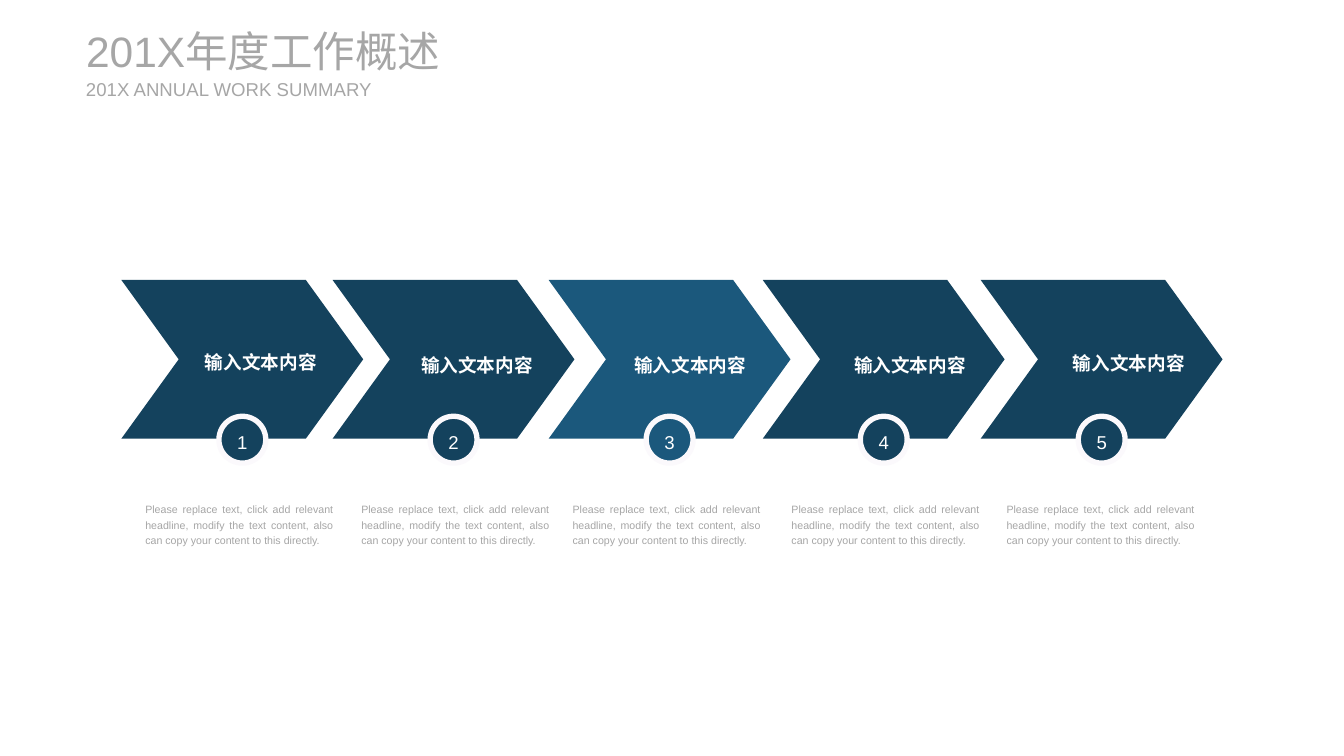
from pptx import Presentation
from pptx import util as u
from pptx.dml.color import RGBColor
from pptx.enum import shapes, text

COLORS = {
    "navy": "14425D",
    "blue": "1B587C",
    "ring": "FBF9FC",
    "gray": "A6A6A6",
    "white": "FFFFFF",
}
LABEL = "输入文本内容"
CAPTION = ("Please replace text, click add relevant headline, modify the text content, "
           "also can copy your content to this directly.")

# arrow left, label centre x, label centre y, caption left, colour
STEPS = [
    (1.27, 2.73, 3.77, 1.52, "navy"),
    (3.48, 4.99, 3.8, 3.78, "navy"),
    (5.74, 7.22, 3.8, 5.99, "blue"),
    (7.98, 9.52, 3.8, 8.28, "navy"),
    (10.26, 11.81, 3.78, 10.53, "navy"),
]
ARROW_TOP, ARROW_WIDTH, ARROW_HEIGHT = 2.93, 2.53, 1.66
ARROW_POINT = 0.6
BADGE_SIZE, BADGE_CENTER_Y = 0.49, 4.6
LABEL_WIDTH, LABEL_HEIGHT = 1.7, 0.26


class SlideBuilder:
    def __init__(self, slide, font="Arial"):
        self.slide = slide
        self.font = font

    def color(self, name):
        return RGBColor.from_string(COLORS[name])

    def fill_text(self, shape, content, size, color, align="LEFT", anchor="MIDDLE",
                  spacing=1.2, bold=False):
        """Fill the text frame of a shape with one formatted paragraph."""
        frame = shape.text_frame
        frame_format = {
            "margin_left": 0, "margin_right": 0, "margin_top": 0, "margin_bottom": 0,
            "word_wrap": True,
            "vertical_anchor": getattr(text.MSO_ANCHOR, anchor),
        }
        for name, value in frame_format.items():
            setattr(frame, name, value)
        paragraph = frame.paragraphs[0]
        paragraph.alignment = getattr(text.PP_ALIGN, align)
        paragraph.line_spacing = spacing
        run = paragraph.add_run()
        run.text = content
        font_format = {"name": self.font, "size": u.Pt(size), "bold": bold}
        for name, value in font_format.items():
            setattr(run.font, name, value)
        run.font.color.rgb = self.color(color)

    def text_box(self, left, top, width, height, content, size, color, **style):
        box = self.slide.shapes.add_textbox(*map(u.Inches, (left, top, width, height)))
        self.fill_text(box, content, size, color, **style)

    def solid_shape(self, kind, left, top, width, height, fill):
        shape = self.slide.shapes.add_shape(
            kind, *map(u.Inches, (left, top, width, height)))
        shape.shadow.inherit = False
        shape.fill.solid()
        shape.fill.fore_color.rgb = self.color(fill)
        shape.line.fill.background()
        return shape

    def arrow(self, left, fill):
        arrow = self.solid_shape(shapes.MSO_SHAPE.CHEVRON, left, ARROW_TOP,
                                 ARROW_WIDTH, ARROW_HEIGHT, fill)
        arrow.adjustments[0] = ARROW_POINT / ARROW_HEIGHT

    def badge(self, center_x, number, fill):
        badge = self.solid_shape(shapes.MSO_SHAPE.OVAL, center_x - BADGE_SIZE / 2,
                                 BADGE_CENTER_Y - BADGE_SIZE / 2,
                                 BADGE_SIZE, BADGE_SIZE, fill)
        badge.line.color.rgb = self.color("ring")
        badge.line.width = u.Pt(4)
        self.fill_text(badge, str(number), 14, "white", align="CENTER")


def main():
    presentation = Presentation()
    presentation.slide_width = u.Inches(14.06)
    presentation.slide_height = u.Inches(7.91)
    slide = presentation.slides.add_slide(presentation.slide_layouts[6])
    builder = SlideBuilder(slide)

    builder.text_box(0.9, 0.26, 4.32, 0.54, "201X年度工作概述", 32, "gray", spacing=1.0)
    builder.text_box(0.9, 0.81, 3.07, 0.24, "201X ANNUAL WORK SUMMARY", 14, "gray",
                     spacing=1.0)

    for number, (left, label_x, label_y, caption_left, color) in enumerate(STEPS, 1):
        builder.arrow(left, color)
        builder.text_box(label_x - LABEL_WIDTH / 2, label_y - LABEL_HEIGHT / 2,
                         LABEL_WIDTH, LABEL_HEIGHT, LABEL, 14, "white",
                         align="CENTER", bold=True)
        builder.badge(left + ARROW_WIDTH / 2, number, color)
        builder.text_box(caption_left, 5.24, 1.97, 0.47, CAPTION, 8, "gray",
                         align="JUSTIFY", anchor="TOP")

    presentation.save("out.pptx")


if __name__ == "__main__":
    main()
